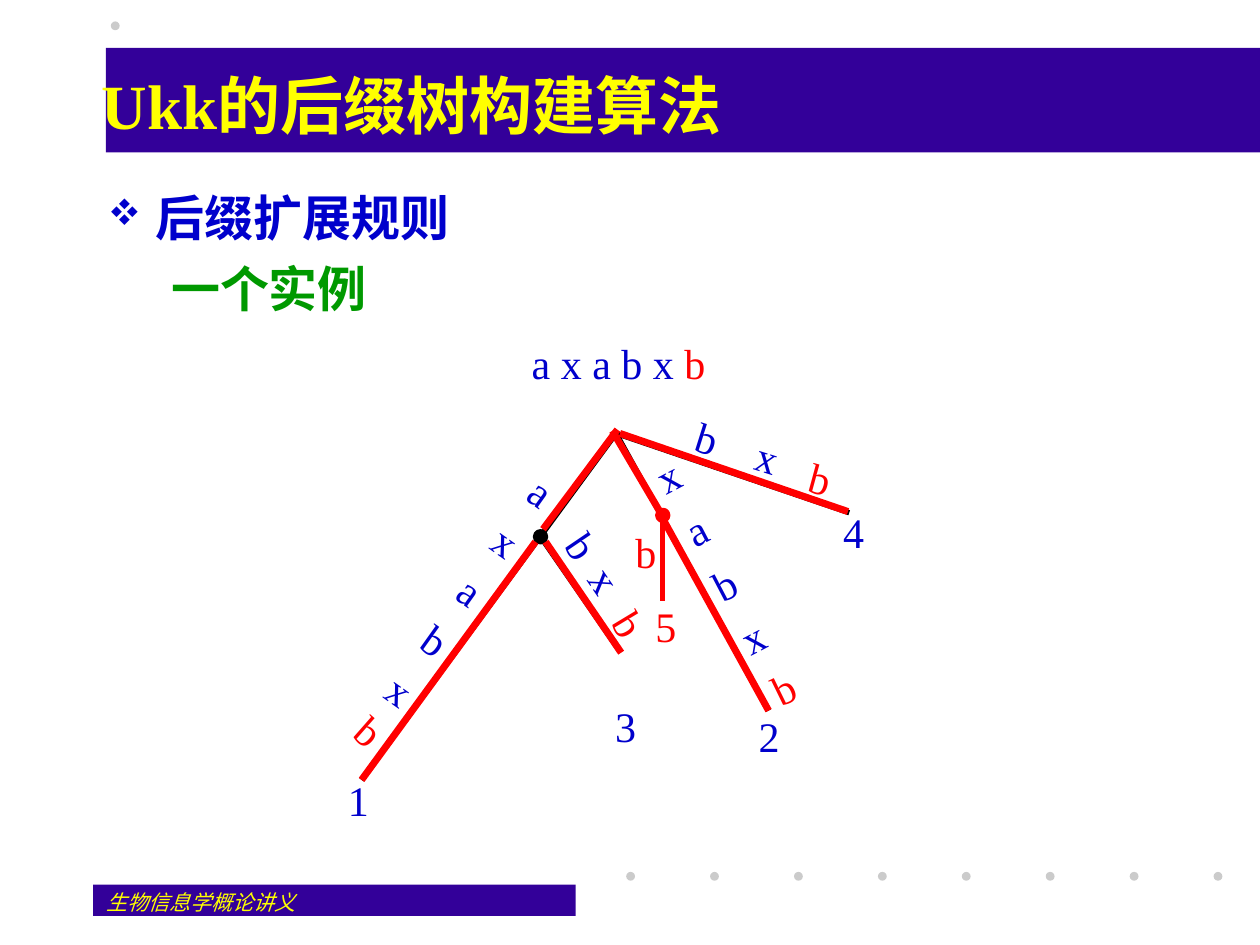
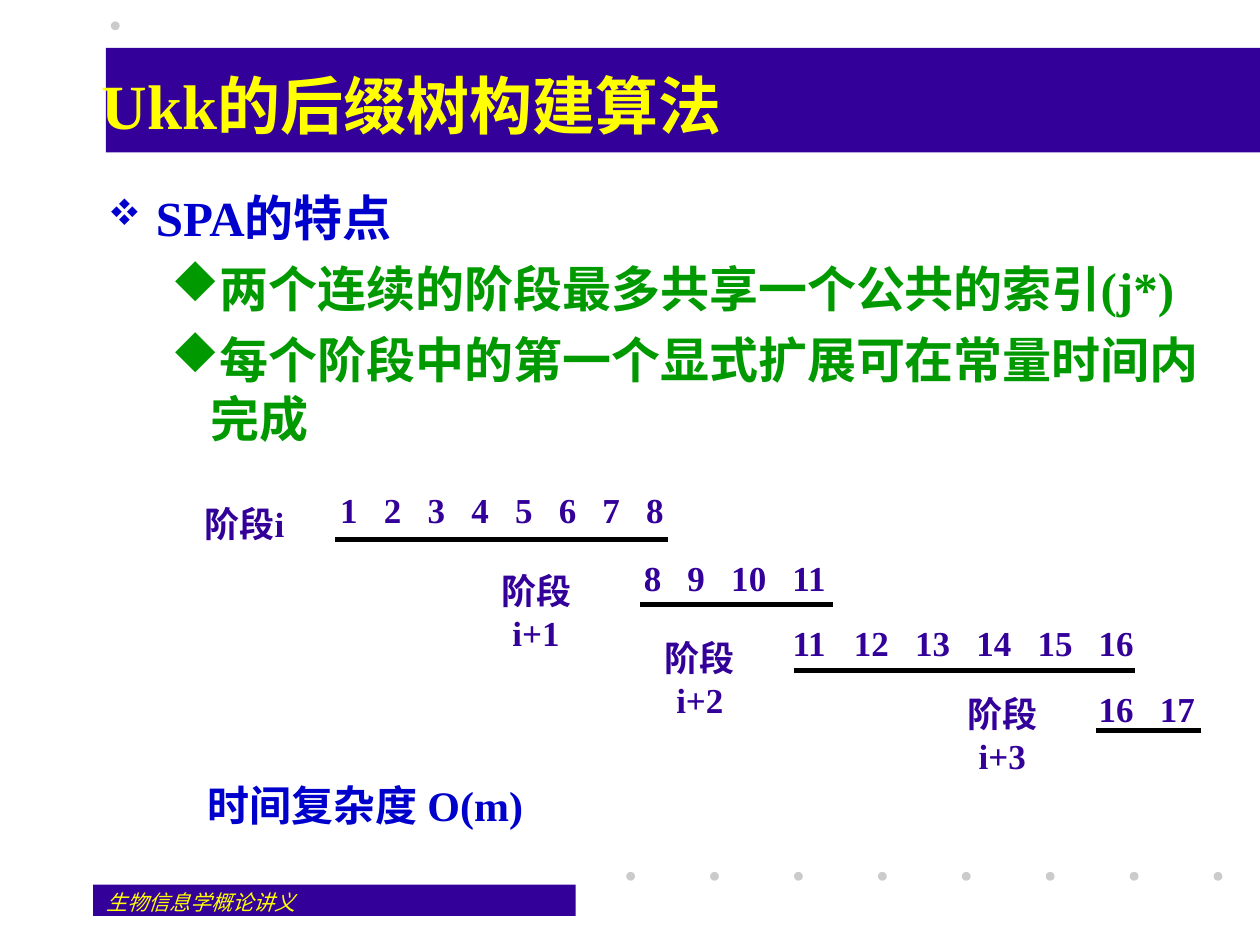
"""Build two lecture pages on suffix tree construction."""
import dataclasses
import typing

import lxml.etree
import pptx
import pptx.dml.color
import pptx.enum.lang
import pptx.enum.shapes
import pptx.enum.text
import pptx.oxml.ns
import pptx.util

Inches = pptx.util.Inches
Pt = pptx.util.Pt
Align = pptx.enum.text.PP_ALIGN
Anchor = pptx.enum.text.MSO_ANCHOR
AutoSize = pptx.enum.text.MSO_AUTO_SIZE
Preset = pptx.enum.shapes.MSO_SHAPE
qn = pptx.oxml.ns.qn


@dataclasses.dataclass(frozen=True)
class Theme:
    font: str = "Times New Roman"
    bullet_font: str = "Wingdings"
    four_diamonds: str = "v"
    diamond: str = "u"
    band: str = "330099"
    dot: str = "CBCBCB"
    title: str = "FFFF00"
    blue: str = "0000CC"
    green: str = "009900"
    red: str = "FF0000"
    black: str = "000000"
    title_size: int = 36
    body_size: int = 28
    label_size: int = 24
    stage_size: int = 20
    footer_size: int = 12


THEME = Theme()


class Bullet(typing.NamedTuple):
    text: str
    color: str
    mark: str = ""
    mark_percent: int = 100
    left: float = 0.81
    hang: float = 0.31


class Edge(typing.NamedTuple):
    x1: float
    y1: float
    x2: float
    y2: float
    color: str = THEME.red
    width: float = 4


class Label(typing.NamedTuple):
    text: str
    left: float
    top: float
    width: float = 0.17
    height: float = 0.4
    color: str = THEME.blue
    rotation: float = 0
    wrap: bool = False
    tabs: tuple[float, ...] = ()


class Stage(typing.NamedTuple):
    name: str
    name_left: float
    name_top: float
    name_width: float
    first: int
    last: int
    left: float
    top: float
    rule: Edge


def head_bullet(text: str) -> Bullet:
    """Return a first-level heading line."""
    return Bullet(text, THEME.blue, THEME.four_diamonds, 75, 0.38, 0.38)


def style_paragraph(para, *, size: float, color: str, bold: bool = False,
                    italic: bool = False, align=Align.LEFT, space: float = 0) -> None:
    """Format every span of one paragraph."""
    para.alignment = align
    para.space_before = Pt(space)
    for span in para.runs:
        span.font.name = THEME.font
        span.font.size = Pt(size)
        span.font.bold = bold
        span.font.italic = italic
        span.font.color.rgb = pptx.dml.color.RGBColor.from_string(color)
        span.font.language_id = pptx.enum.lang.MSO_LANGUAGE_ID.SIMPLIFIED_CHINESE


def add_tabs(para, stops: typing.Sequence[float]) -> None:
    """Give a paragraph left tab stops."""
    tab_list = lxml.etree.SubElement(para._p.get_or_add_pPr(), qn("a:tabLst"))
    for stop in stops:
        lxml.etree.SubElement(tab_list, qn("a:tab"), pos=str(Inches(stop)), algn="l")


def add_frame(page, left: float, top: float, width: float, height: float, *,
              inset: bool = False, wrap: bool = True, anchor=Anchor.TOP,
              rotation: float = 0):
    """Add an empty text box and return its text frame."""
    box = page.shapes.add_textbox(Inches(left), Inches(top), Inches(width), Inches(height))
    box.rotation = rotation
    frame = box.text_frame
    frame.word_wrap = wrap
    frame.vertical_anchor = anchor
    frame.auto_size = AutoSize.NONE if inset else AutoSize.SHAPE_TO_FIT_TEXT
    frame.margin_left = frame.margin_right = Inches(0.1 if inset else 0)
    frame.margin_top = frame.margin_bottom = Inches(0.05 if inset else 0)
    return frame


def add_text(page, text: str, left: float, top: float, width: float, height: float, *,
             size: float, color: str, bold: bool = False, italic: bool = False,
             align=Align.LEFT, space: float = 0, tabs: typing.Sequence[float] = (),
             **frame_format) -> None:
    """Add a text box with one paragraph for each line of text."""
    frame = add_frame(page, left, top, width, height, **frame_format)
    frame.text = text
    for index, para in enumerate(frame.paragraphs):
        if tabs:
            add_tabs(para, tabs)
        style_paragraph(para, size=size, color=color, bold=bold, italic=italic,
                        align=align, space=space if index else 0)


def add_shape(page, preset, left: float, top: float, width: float, height: float, *,
              fill: str, outline: float = 0) -> None:
    """Add a flat preset shape."""
    shape = page.shapes.add_shape(preset, Inches(left), Inches(top),
                                  Inches(width), Inches(height))
    shape.shadow.inherit = False
    color = pptx.dml.color.RGBColor.from_string(fill)
    shape.fill.solid()
    shape.fill.fore_color.rgb = color
    if outline:
        shape.line.color.rgb = color
        shape.line.width = Pt(outline)
    else:
        shape.line.fill.background()


def add_edge(page, edge: Edge) -> None:
    """Draw a straight line."""
    line = page.shapes.add_connector(
        pptx.enum.shapes.MSO_CONNECTOR.STRAIGHT,
        Inches(edge.x1), Inches(edge.y1), Inches(edge.x2), Inches(edge.y2))
    line.line.color.rgb = pptx.dml.color.RGBColor.from_string(edge.color)
    line.line.width = Pt(edge.width)
    lxml.etree.SubElement(line._element.spPr, qn("a:effectLst"))


def add_node(page, left: float, top: float, color: str) -> None:
    """Draw an inner node of the tree."""
    add_shape(page, Preset.OVAL, left, top, 0.08, 0.08, fill=color, outline=3)


def add_bullets(page, bullets: typing.Sequence[Bullet]) -> None:
    """Fill the body area with bulleted lines."""
    frame = add_frame(page, 0.76, 1.44, 8.9, 5.38, inset=True)
    for index, bullet in enumerate(bullets):
        para = frame.add_paragraph() if index else frame.paragraphs[0]
        para.add_run().text = bullet.text
        props = para._p.get_or_add_pPr()
        props.set("marL", str(Inches(bullet.left)))
        props.set("indent", str(-Inches(bullet.hang)))
        if bullet.mark:
            tint = lxml.etree.SubElement(props, qn("a:buClr"))
            lxml.etree.SubElement(tint, qn("a:srgbClr"), val=bullet.color)
            lxml.etree.SubElement(props, qn("a:buSzPct"), val=str(bullet.mark_percent * 1000))
            lxml.etree.SubElement(props, qn("a:buFont"), typeface=THEME.bullet_font,
                                  pitchFamily="2", charset="2")
            lxml.etree.SubElement(props, qn("a:buChar"), char=bullet.mark)
        else:
            lxml.etree.SubElement(props, qn("a:buNone"))
        style_paragraph(para, size=THEME.body_size, color=bullet.color, bold=True,
                        space=7 if index else 0)


def add_page(deck, bullets: typing.Sequence[Bullet]):
    """Add a page with the shared bands, dots, title and footer."""
    page = deck.slides.add_slide(deck.slide_layouts[6])
    add_shape(page, Preset.RECTANGLE, 0.74, 7.02, 3.83, 0.25, fill=THEME.band)
    add_shape(page, Preset.RECTANGLE, 0.84, 0.38, 9.16, 0.83, fill=THEME.band)
    dots = [(0.88, 0.17)] + [(4.97 + 0.666 * step, 6.92) for step in range(8)]
    for left, top in dots:
        add_shape(page, Preset.OVAL, left, top, 0.07, 0.07, fill=THEME.dot)
    add_text(page, "生物信息学概论讲义", 0.75, 7.01, 2.08, 0.25, inset=True,
             size=THEME.footer_size, color=THEME.title, italic=True)
    add_text(page, "Ukk的后缀树构建算法", 0.71, 0.33, 8.9, 1, inset=True,
             anchor=Anchor.MIDDLE, size=THEME.title_size, color=THEME.title, bold=True)
    add_bullets(page, bullets)
    return page


BLACK_EDGES = [
    Edge(x1, y1, x2, y2, THEME.black, 3) for x1, y1, x2, y2 in (
        (4.89, 3.44, 2.87, 6.19), (4.89, 3.44, 6.74, 4.07),
        (4.89, 3.44, 6.1, 5.64), (4.29, 4.26, 4.92, 5.17))
]
RED_EDGES = [
    Edge(4.9, 3.41, 4.31, 4.2), Edge(4.25, 4.3, 2.87, 6.19),
    Edge(4.86, 3.42, 5.26, 4.1), Edge(5.24, 4.08, 6.1, 5.64),
    Edge(4.33, 4.3, 4.93, 5.18), Edge(4.92, 3.44, 6.73, 4.06),
    Edge(5.26, 4.14, 5.26, 4.77, width=3),
]
TREE_LABELS = [
    Label("a x a b x", 4.22, 2.68, 1.13),
    Label("b", 5.43, 2.68, color=THEME.red),
    Label("a\nx\na\nb\nx", 3.59, 3.52, 0.3, 2.33, rotation=35.4, wrap=True),
    Label("x\na\nb\nx", 5.48, 3.49, 0.31, 1.85, rotation=332.4, wrap=True),
    Label("b\tx", 4.47, 4.27, 0.5, rotation=55.8, tabs=(0.33,)),
    Label("b\tx", 5.52, 3.35, 0.67, rotation=17.4, tabs=(0.5,)),
    Label("b", 2.72, 5.6, 0.43, color=THEME.red, rotation=41.2, wrap=True),
    Label("b", 6.06, 5.26, 0.31, color=THEME.red, rotation=333.9, wrap=True),
    Label("b", 4.86, 4.75, 0.28, color=THEME.red, rotation=59, wrap=True),
    Label("b", 6.29, 3.59, 0.44, color=THEME.red, rotation=15.2, wrap=True),
    Label("b", 5.04, 4.18, color=THEME.red),
    Label("1", 2.76, 6.15),
    Label("2", 6.02, 5.64),
    Label("3", 4.88, 5.56),
    Label("4", 6.69, 4.02),
    Label("5", 5.2, 4.77, color=THEME.red),
]
STAGES = [
    Stage("阶段i", 1.62, 3.99, 0.64, 1, 8, 2.7, 3.88,
          Edge(2.66, 4.28, 5.3, 4.28, THEME.black, 3)),
    Stage("阶段i+1", 3.79, 4.52, 0.93, 8, 11, 5.11, 4.42,
          Edge(5.08, 4.8, 6.61, 4.8, THEME.black, 3)),
    Stage("阶段i+2", 5.09, 5.05, 0.93, 11, 16, 6.29, 4.93,
          Edge(6.3, 5.32, 9.01, 5.32, THEME.black, 3)),
    Stage("阶段i+3", 7.49, 5.5, 0.93, 16, 17, 8.72, 5.46,
          Edge(8.7, 5.8, 9.53, 5.8, THEME.black, 3)),
]


def build_tree_page(deck) -> None:
    """Draw the example suffix tree."""
    page = add_page(deck, [head_bullet("后缀扩展规则"), Bullet("一个实例", THEME.green)])
    for edge in BLACK_EDGES:
        add_edge(page, edge)
    add_node(page, 4.25, 4.22, THEME.black)
    for edge in RED_EDGES:
        add_edge(page, edge)
    add_node(page, 5.22, 4.05, THEME.red)
    for label in TREE_LABELS:
        add_text(page, label.text, label.left, label.top, label.width, label.height,
                 size=THEME.label_size, color=label.color, space=6, tabs=label.tabs,
                 align=Align.LEFT if label.tabs else Align.CENTER,
                 rotation=label.rotation, wrap=label.wrap)


def add_stage(page, stage: Stage) -> None:
    """Draw a stage name, its evenly spaced indices and their rule."""
    digit, gap = 0.139, 0.208
    numbers = [str(number) for number in range(stage.first, stage.last + 1)]
    stops, end = [], 0.0
    for number in numbers:
        end += len(number) * digit + gap
        stops.append(end)
    add_edge(page, stage.rule)
    add_text(page, "\t".join(numbers), stage.left, stage.top, end - gap + 0.05, 0.33,
             size=THEME.stage_size, color=THEME.band, bold=True, tabs=stops[:-1])
    add_text(page, stage.name, stage.name_left, stage.name_top, stage.name_width, 0.67,
             size=THEME.stage_size, color=THEME.band, bold=True, align=Align.CENTER)


def build_stage_page(deck) -> None:
    """Show how consecutive stages share an index."""
    page = add_page(deck, [
        head_bullet("SPA的特点"),
        Bullet("两个连续的阶段最多共享一个公共的索引(j*)", THEME.green, THEME.diamond),
        Bullet("每个阶段中的第一个显式扩展可在常量时间内完成", THEME.green, THEME.diamond),
    ])
    for stage in STAGES:
        add_stage(page, stage)
    add_text(page, "时间复杂度 O(m)", 1.65, 6.19, 2.52, 0.8,
             size=THEME.label_size, color=THEME.blue, bold=True)


def main() -> None:
    """Build and save the deck."""
    deck = pptx.Presentation()
    deck.slide_width, deck.slide_height = Inches(10), Inches(7.5)
    build_tree_page(deck)
    build_stage_page(deck)
    deck.save("out.pptx")


if __name__ == "__main__":
    main()
